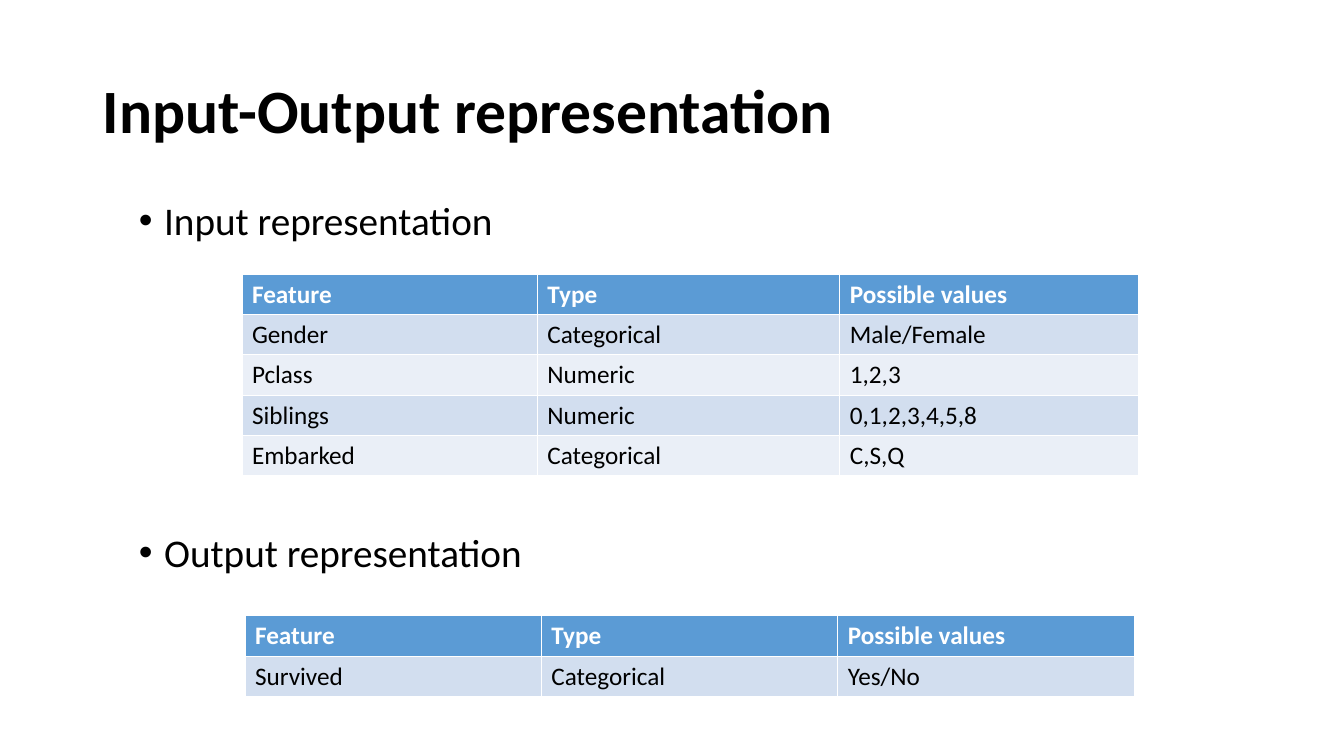
from lxml.etree import SubElement
from pptx import Presentation
from pptx.dml.color import RGBColor
from pptx.enum.text import MSO_ANCHOR as ANCHOR, MSO_AUTO_SIZE as AUTO, PP_ALIGN as ALIGN
from pptx.oxml.ns import qn
from pptx.util import Inches, Pt

FONT = "Calibri"
BLACK, WHITE = "000000", "FFFFFF"
HEADER_FILL, BANDS = "5B9BD5", ("D2DEEF", "EAEFF7")
ROW_HEIGHT = 0.4
HEADINGS = ("Feature", "Type", "Possible values")
INPUTS = (
    ("Gender", "Categorical", "Male/Female"),
    ("Pclass", "Numeric", "1,2,3"),
    ("Siblings", "Numeric", "0,1,2,3,4,5,8"),
    ("Embarked", "Categorical", "C,S,Q"),
)
OUTPUTS = (("Survived", "Categorical", "Yes/No"),)


def rgb(color):
    """Turn a hex string into a colour."""
    return RGBColor.from_string(color)


def write(tf, text, size, color=BLACK, bold=False):
    """Write one formatted paragraph and return it."""
    p = tf.paragraphs[0]
    r = p.add_run()
    r.text = text
    for name, value in {"name": FONT, "size": Pt(size), "bold": bold}.items():
        setattr(r.font, name, value)
    r.font.color.rgb = rgb(color)
    return p


def add_title(slide, text, left, top, width, height):
    """Place and format the slide title."""
    sp = slide.shapes.title
    box = {"left": left, "top": top, "width": width, "height": height}
    for name, value in box.items():
        setattr(sp, name, Inches(value))
    tf = sp.text_frame
    tf.auto_size = AUTO.NONE
    tf.vertical_anchor = ANCHOR.MIDDLE
    p = write(tf, text, 44, bold=True)
    p.alignment = ALIGN.LEFT
    p.line_spacing = 0.9


def add_bullet(slide, text, left, top, width, height):
    """Add a bulleted section heading."""
    sp = slide.shapes.add_textbox(*map(Inches, (left, top, width, height)))
    tf = sp.text_frame
    tf.word_wrap = True
    p = write(tf, text, 28)
    p.line_spacing = 0.9
    p.space_before = Pt(10)
    pPr = p._p.get_or_add_pPr()
    pPr.set("marL", str(Inches(0.25)))
    pPr.set("indent", str(-Inches(0.25)))
    SubElement(pPr, qn("a:buFont")).set("typeface", "Arial")
    SubElement(pPr, qn("a:buChar")).set("char", "•")


def add_feature_table(slide, records, left, top, widths):
    """Add a banded table of features under the common headings."""
    rows = (HEADINGS, *records)
    box = (left, top, sum(widths), ROW_HEIGHT * len(rows))
    frame = slide.shapes.add_table(len(rows), len(widths), *map(Inches, box))
    table = frame.table
    for column, width in zip(table.columns, widths):
        column.width = Inches(width)
    for i, row in enumerate(rows):
        header = i == 0
        fill = HEADER_FILL if header else BANDS[(i - 1) % 2]
        for j, text in enumerate(row):
            cell = table.cell(i, j)
            cell.fill.solid()
            cell.fill.fore_color.rgb = rgb(fill)
            write(cell.text_frame, text, 18, WHITE if header else BLACK, header)


def main():
    """Build the slide and save it."""
    prs = Presentation()
    prs.slide_width, prs.slide_height = Inches(13.33), Inches(7.5)
    slide = prs.slides.add_slide(prs.slide_layouts[5])
    add_title(slide, "Input-Output representation", 0.92, 0.4, 11.5, 1.45)
    add_bullet(slide, "Input representation", 1.28, 1.95, 11.5, 2.44)
    add_bullet(slide, "Output representation", 1.28, 5.24, 11.5, 1.07)
    add_feature_table(slide, INPUTS, 2.4, 2.72, (2.93, 3, 2.96))
    add_feature_table(slide, OUTPUTS, 2.43, 6.11, (2.94,) * 3)
    prs.save("out.pptx")


if __name__ == "__main__":
    main()
